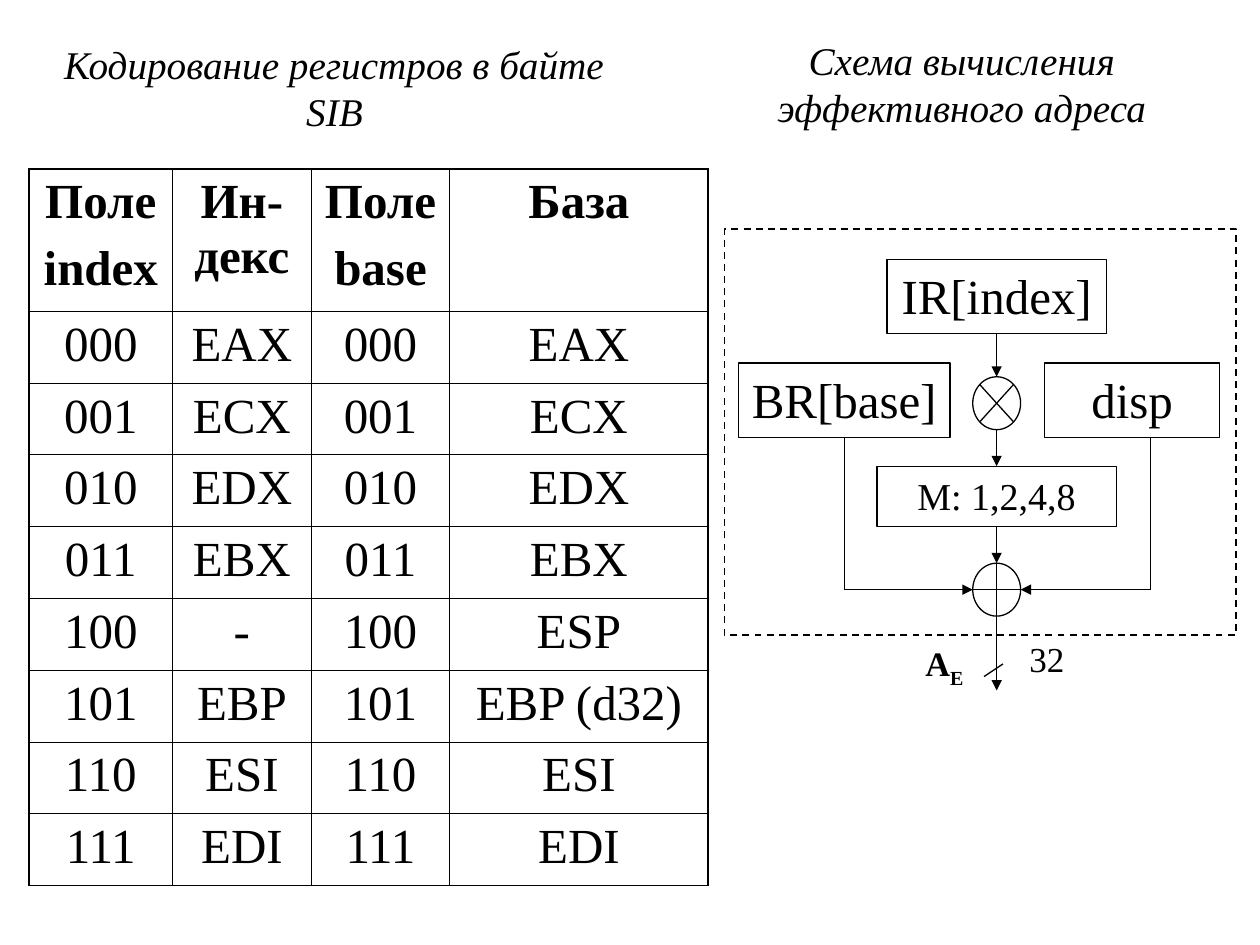
from pptx import Presentation
from pptx.dml.color import RGBColor
from pptx.enum.dml import MSO_LINE_DASH_STYLE as DASH
from pptx.enum.shapes import MSO_CONNECTOR, MSO_SHAPE as SHAPE
from pptx.enum.text import MSO_ANCHOR as ANCHOR, PP_ALIGN as ALIGN
from pptx.oxml.ns import qn
from pptx.util import Inches, Pt
from lxml.etree import SubElement

BLACK = RGBColor(0, 0, 0)
WHITE = RGBColor(255, 255, 255)
TOP, BOTTOM = 0, 2


def write(frame, text, size=28, bold=False, italic=False, before=0,
          anchor=ANCHOR.TOP, wrap=True, subscript=""):
    frame.word_wrap = wrap
    frame.vertical_anchor = anchor
    for number, line in enumerate(text.split("\n")):
        paragraph = frame.add_paragraph() if number else frame.paragraphs[0]
        paragraph.text = line
        paragraph.alignment = ALIGN.CENTER
        if number:
            paragraph.space_before = Pt(before)
        if subscript:
            lowered = paragraph.add_run()
            lowered.text = subscript
            lowered._r.get_or_add_rPr().set("baseline", "-25000")
        for run in paragraph.runs:
            font = run.font
            font.name, font.size = "Times New Roman", Pt(size)
            font.bold, font.italic = bold, italic
            font.color.rgb = BLACK


class Sheet:
    font_size = 28
    line_width = 0.75
    inner_border, outer_border = 0.45, 1.08

    def __init__(self, slide):
        self.slide = slide
        self.shapes = slide.shapes

    def label(self, text, left, top, width, height, **style):
        box = self.shapes.add_textbox(*map(Inches, (left, top, width, height)))
        write(box.text_frame, text, **style)

    def block(self, kind, left, top, width, height, text="", size=font_size,
              fill=WHITE, weight=line_width, dash=None):
        block = self.shapes.add_shape(kind, *map(Inches, (left, top, width, height)))
        block.shadow.inherit = False
        if fill is None:
            block.fill.background()
        else:
            block.fill.solid()
            block.fill.fore_color.rgb = fill
        block.line.color.rgb = BLACK
        block.line.width = Pt(weight)
        if dash:
            block.line.dash_style = dash
        if text:
            write(block.text_frame, text, size=size, wrap=False)
        return block

    def line(self, start, end, arrow=True, source=None, target=None):
        line = self.shapes.add_connector(
            MSO_CONNECTOR.STRAIGHT, *map(Inches, (*start, *end)))
        if source:
            line.begin_connect(source, BOTTOM)
        if target:
            line.end_connect(target, TOP)
        line.line.color.rgb = BLACK
        line.line.width = Pt(self.line_width)
        if arrow:
            SubElement(line.line._get_or_add_ln(), qn("a:tailEnd"), type="triangle")
        SubElement(line._element.spPr, qn("a:effectLst"))

    def border(self, cell, side, width):
        edge = SubElement(cell._tc.get_or_add_tcPr(), qn(f"a:ln{side}"),
                          w=str(int(Pt(width))))
        SubElement(SubElement(edge, qn("a:solidFill")), qn("a:srgbClr"),
                   val=str(BLACK))

    def table(self, rows, left, top, widths, heights):
        table = self.shapes.add_table(
            len(rows), len(widths), Inches(left), Inches(top),
            Inches(sum(widths)), Inches(sum(heights))).table
        table.first_row = table.horz_banding = False
        for column, width in zip(table.columns, widths):
            column.width = Inches(width)
        for row, height in zip(table.rows, heights):
            row.height = Inches(height)
        for r, texts in enumerate(rows):
            for c, text in enumerate(texts):
                cell = table.cell(r, c)
                write(cell.text_frame, text, size=self.font_size,
                      bold=r == 0, before=7)
                edges = {"L": c == 0, "R": c == len(widths) - 1,
                         "T": r == 0, "B": r == len(rows) - 1}
                for side, outer in edges.items():
                    self.border(cell, side,
                                self.outer_border if outer else self.inner_border)
                cell.fill.background()


def draw_registers(sheet):
    indexes = ["EAX", "ECX", "EDX", "EBX", "-", "EBP", "ESI", "EDI"]
    bases = ["EAX", "ECX", "EDX", "EBX", "ESP", "EBP (d32)", "ESI", "EDI"]
    header = ["Поле\nindex", "Ин-\vдекс", "Поле\nbase", "База"]
    codes = [f"{number:03b}" for number in range(len(bases))]
    rows = [header, *zip(codes, indexes, codes, bases)]
    sheet.table(rows, 0.23, 1.34, [1.14, 1.1, 1.1, 2.05],
                [1.13] + [0.57] * len(bases))
    sheet.label("Кодирование регистров в байте SIB", 0.31, 0.24, 4.69, 0.91,
                size=22.4, italic=True, anchor=ANCHOR.MIDDLE)


def draw_address_scheme(sheet):
    axis, base_x, disp_x, sum_y = 7.91, 6.7, 9.13, 4.68
    radius = 0.19
    sheet.label("32", axis, 5.01, 0.8, 0.48, size=20)
    sheet.block(SHAPE.RECTANGLE, 8.29, 2.88, 1.39, 0.59, "disp")
    base = sheet.block(SHAPE.RECTANGLE, base_x - 0.84, 2.88, 1.68, 0.59, "BR[base]")
    multiplier = sheet.block(SHAPE.FLOWCHART_SUMMING_JUNCTION,
                             axis - radius, 2.99, 2 * radius, 0.42)
    index = sheet.block(SHAPE.RECTANGLE, axis - 0.87, 2.06, 1.74, 0.59, "IR[index]")
    scale = sheet.block(SHAPE.RECTANGLE, axis - 0.95, 3.7, 1.9, 0.48,
                        "М: 1,2,4,8", size=21.7)
    adder = sheet.block(SHAPE.FLOWCHART_OR, axis - radius, sum_y - 0.21,
                        2 * radius, 0.42)
    sheet.block(SHAPE.RECTANGLE, 5.75, 1.82, 4.06, 3.22, fill=None, weight=1,
                dash=DASH.DASH)

    sheet.line((axis, 2.65), (axis, 2.99), source=index, target=multiplier)
    sheet.line((axis, 3.41), (axis, 3.7), target=scale)
    sheet.line((axis, 4.18), (axis, 4.47), source=scale, target=adder)
    sheet.line((base_x, 3.47), (base_x, sum_y), arrow=False, source=base)
    sheet.line((base_x, sum_y), (axis - radius, sum_y))
    sheet.line((disp_x, 3.47), (disp_x, sum_y), arrow=False)
    sheet.line((disp_x, sum_y), (axis + radius, sum_y))
    sheet.line((7.81, 5.37), (7.96, 5.27), arrow=False)
    sheet.line((axis, sum_y), (axis, 5.48))

    sheet.label("А", 7.13, 5.05, 0.73, 0.48, size=19.6, bold=True, subscript="Е")
    sheet.label("Схема вычисления эффективного адреса", 5.39, 0.21, 4.49, 0.91,
                size=22.4, italic=True, anchor=ANCHOR.MIDDLE)


def main():
    deck = Presentation()
    deck.slide_width, deck.slide_height = Inches(10), Inches(7.5)
    sheet = Sheet(deck.slides.add_slide(deck.slide_layouts[6]))
    draw_registers(sheet)
    draw_address_scheme(sheet)
    deck.save("out.pptx")


if __name__ == "__main__":
    main()
